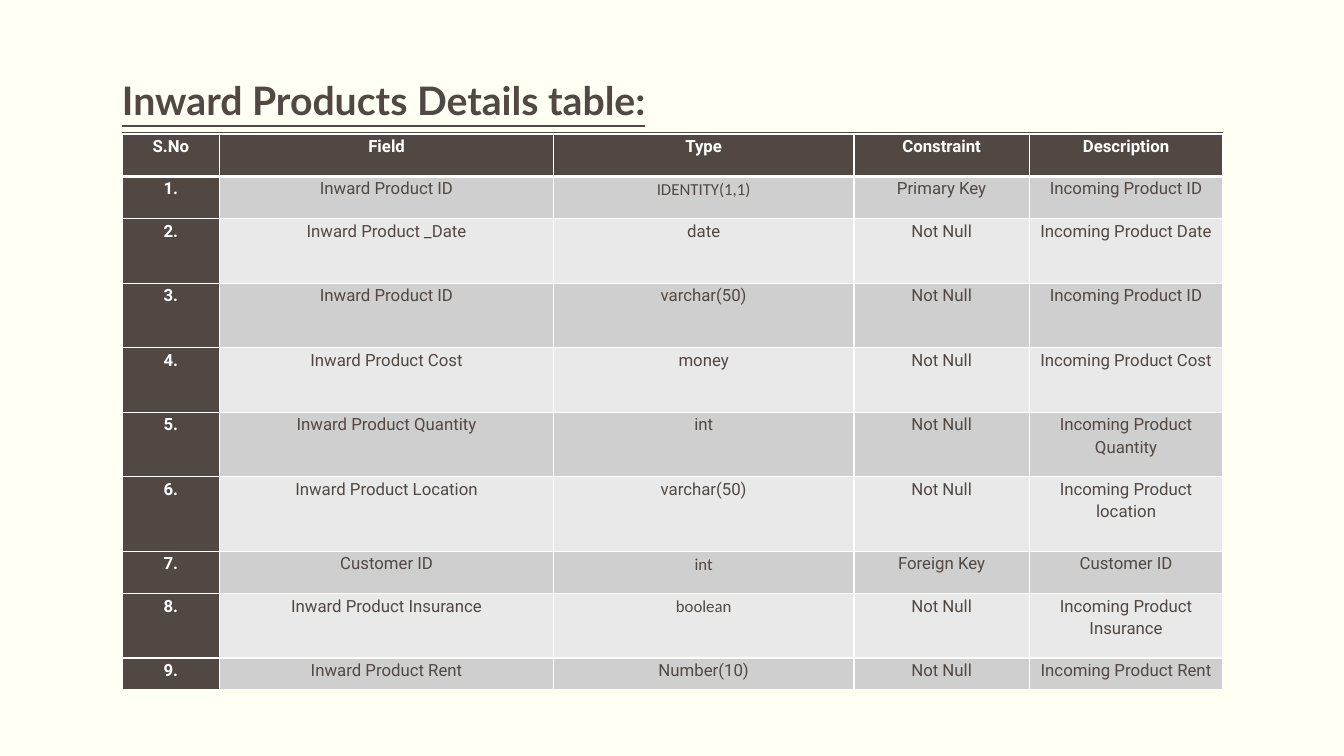
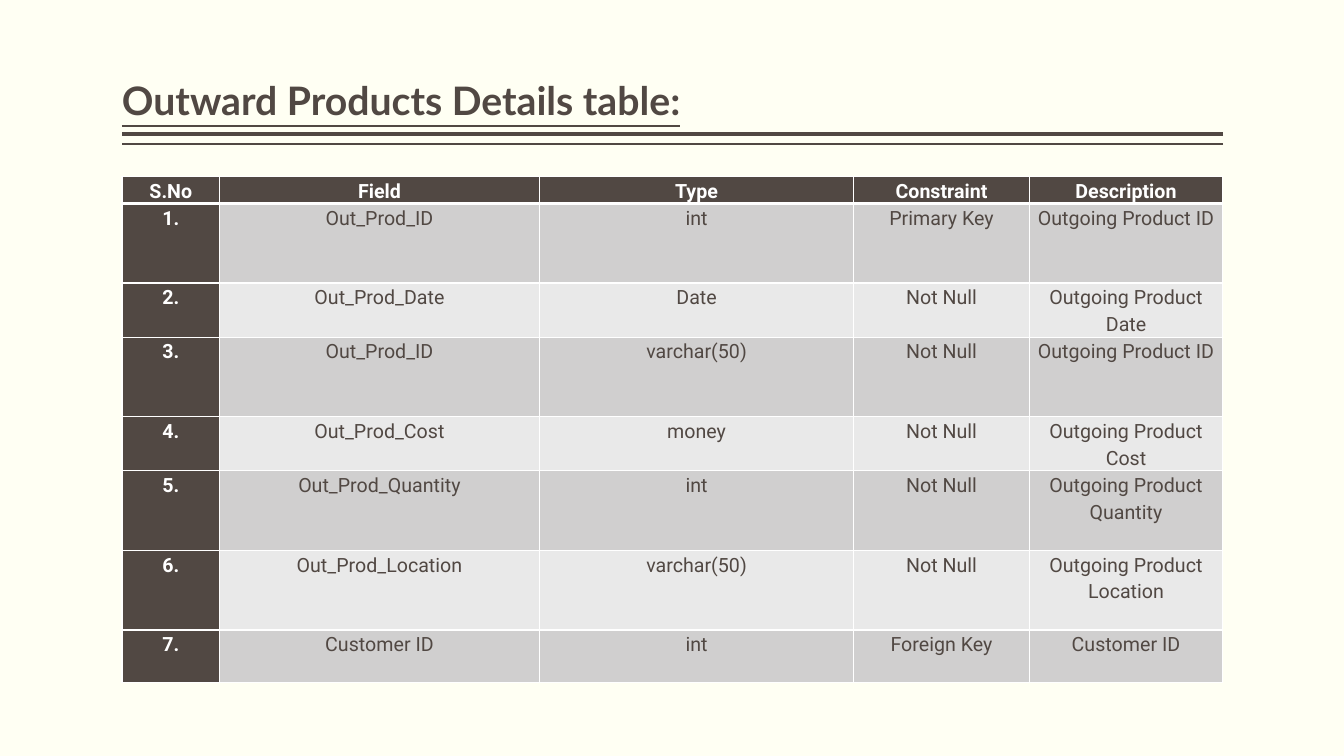
"""Builds two slides describing the inward and outward product tables."""
from lxml.etree import SubElement
from pptx import Presentation
from pptx.dml.color import RGBColor
from pptx.enum.shapes import MSO_CONNECTOR
from pptx.enum.text import MSO_ANCHOR, PP_ALIGN
from pptx.oxml.ns import qn
from pptx.util import Emu, Pt

PX = 9144
LEFT, WIDTH = 121, 1092
COLORS = {
    "paper": "FFFFF3",
    "brown": "514843",
    "white": "FFFFFF",
    "odd": "D0CFCF",
    "even": "E9E9E9",
}
HEADINGS = ("S.No", "Field", "Type", "Constraint", "Description")

INWARD_ROWS = [
    ("Inward Product ID", "IDENTITY(1,1)", "Primary Key", "Incoming Product ID"),
    ("Inward Product _Date", "date", "Not Null", "Incoming Product Date"),
    ("Inward Product ID", "varchar(50)", "Not Null", "Incoming Product ID"),
    ("Inward Product Cost", "money", "Not Null", "Incoming Product Cost"),
    ("Inward Product Quantity", "int", "Not Null", "Incoming Product Quantity"),
    ("Inward Product Location", "varchar(50)", "Not Null", "Incoming Product location"),
    ("Customer ID", "int", "Foreign Key", "Customer ID"),
    ("Inward Product Insurance", "boolean", "Not Null", "Incoming Product Insurance"),
    ("Inward Product Rent", "Number(10)", "Not Null", "Incoming Product Rent"),
]
OUTWARD_ROWS = [
    ("Out_Prod_ID", "int", "Primary Key", "Outgoing Product ID"),
    ("Out_Prod_Date", "Date", "Not Null", "Outgoing Product Date"),
    ("Out_Prod_ID", "varchar(50)", "Not Null", "Outgoing Product ID"),
    ("Out_Prod_Cost", "money", "Not Null", "Outgoing Product Cost"),
    ("Out_Prod_Quantity", "int", "Not Null", "Outgoing Product Quantity"),
    ("Out_Prod_Location", "varchar(50)", "Not Null", "Outgoing Product Location"),
    ("Customer ID", "int", "Foreign Key", "Customer ID"),
]


def px(length):
    return Emu(length * PX)


def color(name):
    return RGBColor.from_string(COLORS[name])


class Deck:
    def __init__(self):
        self.presentation = Presentation()
        self.presentation.slide_width = px(1333)
        self.presentation.slide_height = px(750)
        self.slide = None

    def add_slide(self, title):
        self.slide = self.presentation.slides.add_slide(self.presentation.slide_layouts[6])
        background = self.slide.background.fill
        background.solid()
        background.fore_color.rgb = color("paper")
        self.rule(133, 3)
        self.rule(143, 1)
        self.title(title)

    def rule(self, top, weight):
        connector = self.slide.shapes.add_connector(
            MSO_CONNECTOR.STRAIGHT, px(LEFT + WIDTH), px(top), px(LEFT), px(top))
        connector.line.color.rgb = color("brown")
        connector.line.width = Pt(weight)
        SubElement(connector._element.spPr, qn("a:effectLst"))

    def title(self, text):
        frame = self.slide.shapes.add_textbox(px(LEFT), px(8), px(WIDTH), px(120)).text_frame
        frame.word_wrap = True
        frame.vertical_anchor = MSO_ANCHOR.BOTTOM
        frame.margin_left = frame.margin_right = 0
        frame.margin_top = frame.margin_bottom = px(5)
        paragraph = frame.paragraphs[0]
        paragraph.line_spacing = 0.9
        self.run(paragraph, text, "Lato", 28, "brown", True).font.underline = True

    def run(self, paragraph, text, font, size, ink, bold):
        run = paragraph.add_run()
        run.text = text
        run.font.name = font
        run.font.size = Pt(size)
        run.font.bold = bold
        run.font.color.rgb = color(ink)
        return run

    def table(self, top, widths, heights, records, size, margin, calibri_rows=()):
        rows = [HEADINGS]
        rows += [(f"{number}.", *record) for number, record in enumerate(records, 1)]
        table = self.slide.shapes.add_table(
            len(rows), len(widths), px(LEFT), px(top), px(WIDTH), px(sum(heights))).table
        table.horz_banding = False
        for column, width in zip(table.columns, widths):
            column.width = px(width)
        for row, height in zip(table.rows, heights):
            row.height = px(height)
        for row_index, texts in enumerate(rows):
            for column_index, text in enumerate(texts):
                heading = row_index == 0 or column_index == 0
                calibri = column_index == 2 and row_index in calibri_rows
                cell = table.cell(row_index, column_index)
                self.borders(cell, row_index)
                cell.fill.solid()
                band = "odd" if row_index % 2 else "even"
                cell.fill.fore_color.rgb = color("brown" if heading else band)
                cell.margin_left = cell.margin_right = px(margin)
                cell.margin_top = cell.margin_bottom = 0
                paragraph = cell.text_frame.paragraphs[0]
                paragraph.alignment = PP_ALIGN.CENTER
                paragraph.line_spacing = 1.15
                self.run(paragraph, text, "Calibri" if calibri else "Roboto", size,
                         "white" if heading else "brown", heading)

    def borders(self, cell, row_index):
        properties = cell._tc.get_or_add_tcPr()
        for side in ("L", "R", "T", "B"):
            under_header = (row_index, side) in ((0, "B"), (1, "T"))
            line = SubElement(properties, qn(f"a:ln{side}"), w=str(Pt(3 if under_header else 1)))
            fill = SubElement(line, qn("a:solidFill"))
            SubElement(fill, qn("a:srgbClr"), val=COLORS["white"])


def main():
    deck = Deck()
    deck.add_slide("Inward Products Details table:")
    deck.table(133, (97, 331, 298, 174, 192), (42, 42, 64, 64, 64, 64, 74, 42, 64, 31),
               INWARD_ROWS, 12, 5, calibri_rows=(1, 7, 8))
    deck.add_slide("Outward Products Details table:")
    deck.table(175, (97, 317, 312, 174, 192), (25, 79, 52, 79, 52, 79, 79, 52),
               OUTWARD_ROWS, 14, 7)
    deck.presentation.save("out.pptx")


if __name__ == "__main__":
    main()
